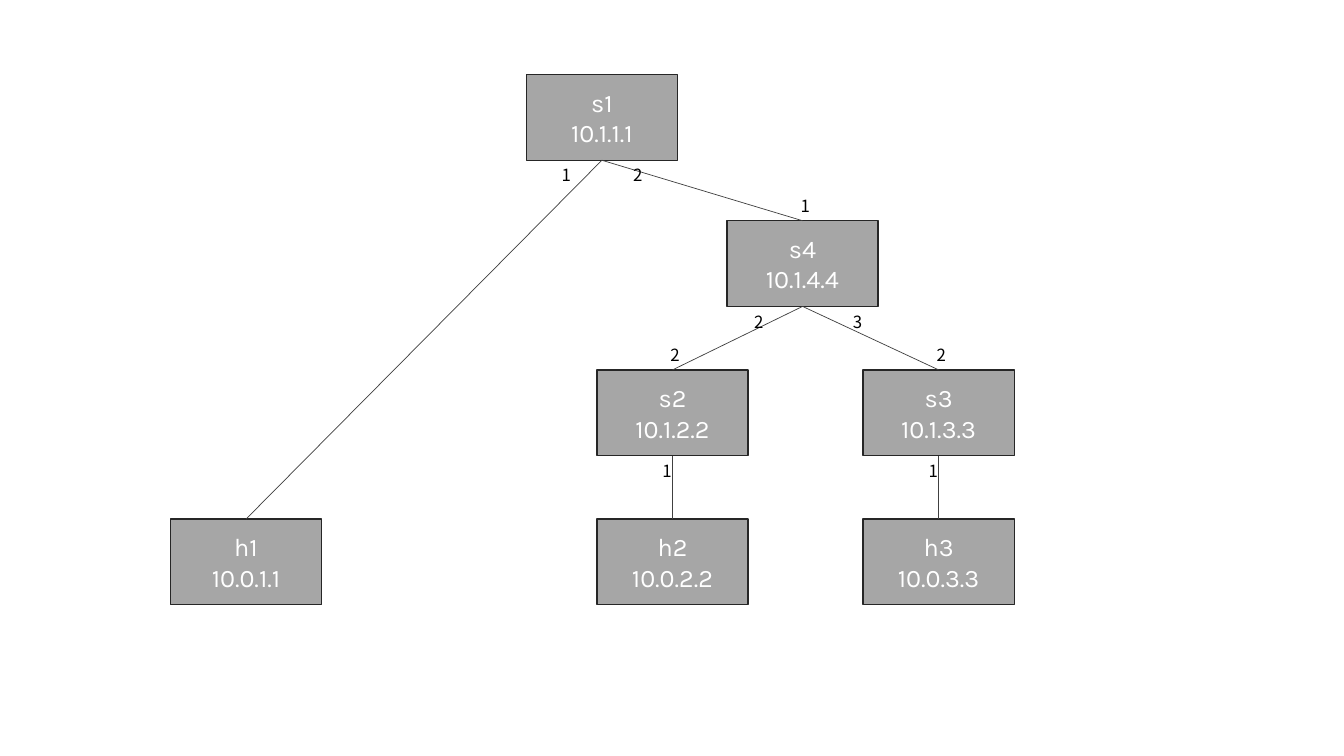
from lxml.etree import SubElement
from pptx import Presentation
from pptx.dml.color import RGBColor
from pptx.enum.shapes import MSO_CONNECTOR as Connector, MSO_SHAPE as Preset
from pptx.enum.text import MSO_ANCHOR as Anchor, MSO_AUTO_SIZE as AutoSize, PP_ALIGN as Align
from pptx.oxml.ns import qn
from pptx.util import Inches, Pt

NODE_WIDTH, NODE_HEIGHT = 1.5, 0.85
PORT_WIDTH, PORT_HEIGHT = 0.17, 0.3
TOP_SITE, BOTTOM_SITE = 0, 2
CHILD_PORT_SHIFT = -0.09

COLUMNS = {"host": 1.69, "root": 5.22, "left": 5.92, "middle": 7.21, "right": 8.56}
ROWS = [0.74, 2.19, 3.67, 5.15]

NODES = [
    ("h1", "10.0.1.1", "host", 3),
    ("s1", "10.1.1.1", "root", 0),
    ("s4", "10.1.4.4", "middle", 1),
    ("s2", "10.1.2.2", "left", 2),
    ("s3", "10.1.3.3", "right", 2),
    ("h2", "10.0.2.2", "left", 3),
    ("h3", "10.0.3.3", "right", 3),
]

LINKS = [
    dict(parent="s1", child="h1", parent_port="1", shift=-0.47, child_port=None),
    dict(parent="s1", child="s4", parent_port="2", shift=0.24, child_port="1"),
    dict(parent="s4", child="s2", parent_port="2", shift=-0.55, child_port="2"),
    dict(parent="s4", child="s3", parent_port="3", shift=0.43, child_port="2"),
    dict(parent="s2", child="h2", parent_port="1", shift=-0.17, child_port=None),
    dict(parent="s3", child="h3", parent_port="1", shift=-0.17, child_port=None),
]


def color(value):
    return RGBColor.from_string(value)


def format_text(text_frame, font_name, size, font_color, alignment):
    for paragraph in text_frame.paragraphs:
        paragraph.alignment = alignment
        for run in paragraph.runs:
            run.font.name = font_name
            run.font.size = Pt(size)
            run.font.color.rgb = color(font_color)
            east_asian = SubElement(run.font._element, qn("a:ea"))
            east_asian.set("typeface", font_name)


def add_node(slide, name, address, column, row):
    shape = slide.shapes.add_shape(
        Preset.RECTANGLE, Inches(COLUMNS[column]), Inches(ROWS[row]),
        Inches(NODE_WIDTH), Inches(NODE_HEIGHT))
    shape.shadow.inherit = False
    shape.fill.solid()
    shape.fill.fore_color.rgb = color("A6A6A6")
    shape.line.color.rgb = color("262626")
    shape.line.width = Pt(1)
    shape.text_frame.text = f"{name}\n{address}"
    shape.text_frame.vertical_anchor = Anchor.MIDDLE
    format_text(shape.text_frame, "Karla", 18, "FFFFFF", Align.CENTER)
    return shape


def add_link(slide, child, parent):
    connector = slide.shapes.add_connector(Connector.STRAIGHT, 0, 0, 0, 0)
    connector.begin_connect(child, TOP_SITE)
    connector.end_connect(parent, BOTTOM_SITE)
    connector.line.color.rgb = color("404040")
    connector.line.width = Pt(0.5)
    SubElement(connector._element.spPr, qn("a:effectLst"))


def add_port(slide, number, node, shift, top):
    left = node.left + node.width // 2 + Inches(shift)
    box = slide.shapes.add_textbox(left, top, Inches(PORT_WIDTH), Inches(PORT_HEIGHT))
    text_frame = box.text_frame
    text_frame.margin_left, text_frame.margin_right = Inches(0.07), 0
    text_frame.margin_top, text_frame.margin_bottom = Inches(0.05), Inches(0.01)
    text_frame.word_wrap = True
    text_frame.auto_size = AutoSize.SHAPE_TO_FIT_TEXT
    text_frame.text = number
    format_text(text_frame, "Noto Sans CJK JP", 12, "000000", Align.LEFT)


presentation = Presentation()
presentation.slide_width, presentation.slide_height = Inches(13.33), Inches(7.5)
slide = presentation.slides.add_slide(presentation.slide_layouts[6])

nodes = {node[0]: add_node(slide, *node) for node in NODES}
for link in LINKS:
    add_link(slide, nodes[link["child"]], nodes[link["parent"]])
for link in LINKS:
    parent, child = nodes[link["parent"]], nodes[link["child"]]
    add_port(slide, link["parent_port"], parent, link["shift"], parent.top + parent.height)
    if link["child_port"]:
        add_port(slide, link["child_port"], child, CHILD_PORT_SHIFT,
                 child.top - Inches(PORT_HEIGHT))

presentation.save("out.pptx")
